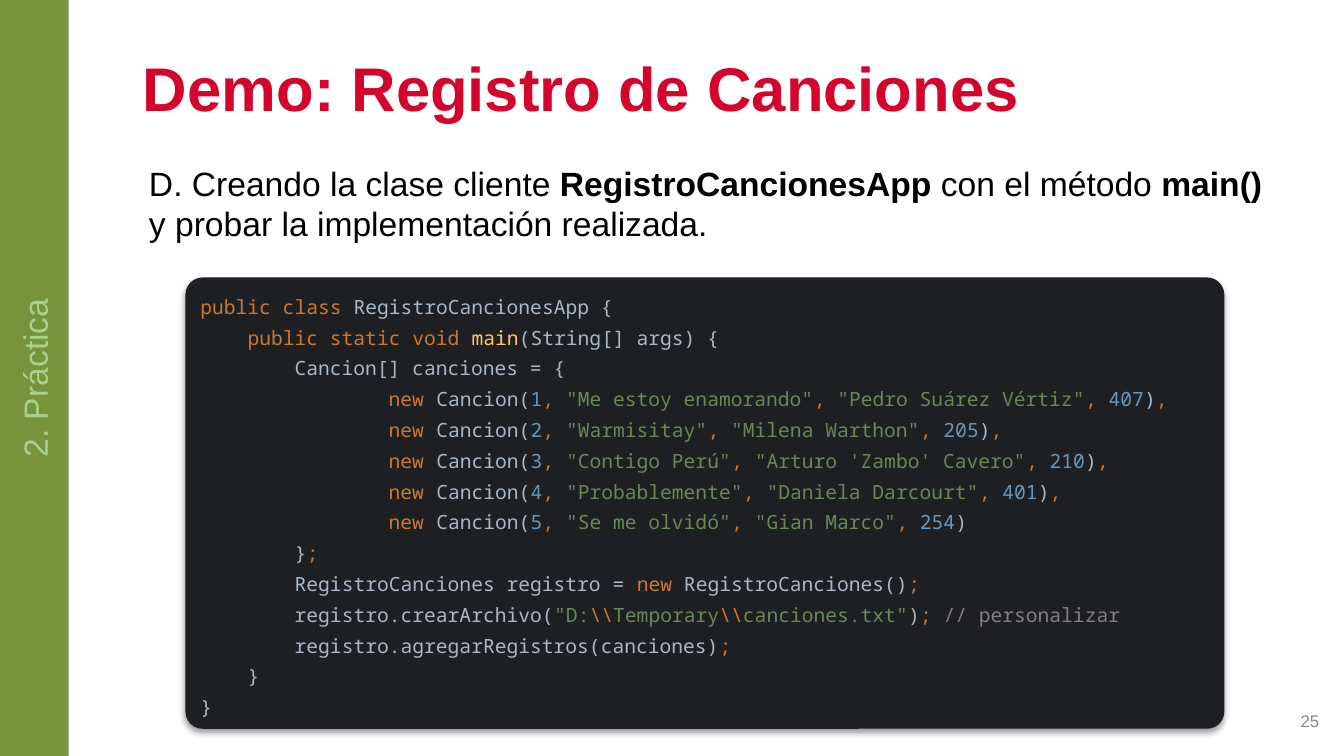
from lxml import etree
from pptx import Presentation, util as u
from pptx.dml.color import RGBColor
from pptx.enum import shapes, text
from pptx.oxml.ns import qn

theme = {
    "sans": "Arial", "mono": "Noto Sans Mono",
    "head": 44, "body": 24, "code": 14, "foot": 12,
    "red": "D3052C", "ink": "000000", "gray": "888888",
    "green": "77933C", "pale": "A9D18E", "dark": "1E1F22",
    "key": "CC7832", "base": "A9B7C6", "call": "FFC66D",
    "num": "6897BB", "str": "6A8759", "note": "808080",
}

deck = Presentation()
deck.slide_width, deck.slide_height = u.Inches(13.33), u.Inches(7.5)
W, H = deck.slide_width, deck.slide_height
slide = deck.slides.add_slide(deck.slide_layouts[6])


def place(area, kind=None, fill=None, mid=True):
    x, y, w, h = area
    spot = [int(v) for v in (x * W, y * H, w * W, h * H)]
    if kind is None:
        shape = slide.shapes.add_textbox(*spot)
    else:
        shape = slide.shapes.add_shape(kind, *spot)
        shape.shadow.inherit = False
        shape.fill.solid()
        shape.fill.fore_color.rgb = RGBColor.from_string(theme[fill])
        shape.line.fill.background()
    anchor = text.MSO_ANCHOR.MIDDLE if mid else text.MSO_ANCHOR.TOP
    for name, val in {"word_wrap": True, "vertical_anchor": anchor}.items():
        setattr(shape.text_frame, name, val)
    return shape


def write(shape, runs, size, face="sans", align=text.PP_ALIGN.LEFT, lead=None):
    para = shape.text_frame.paragraphs[0]
    for name, val in {"alignment": align, "line_spacing": lead}.items():
        setattr(para, name, val)
    for color, words, bold in runs:
        for n, part in enumerate(words.split("\n")):
            if n:
                para.add_line_break()
            if part:
                run = para.add_run()
                run.text = part
                look = {"name": theme[face], "size": u.Pt(theme[size]), "bold": bold}
                for name, val in look.items():
                    setattr(run.font, name, val)
                run.font.color.rgb = RGBColor.from_string(theme[color])
    return para


title = place((0.099, 0.063, 0.833, 0.115))
write(title, [("red", "Demo: Registro de Canciones", True)], "head", lead=0.9)

page = place((0.764, 0.927, 0.225, 0.053))
write(page, [("gray", "25", False)], "foot", align=text.PP_ALIGN.RIGHT)

intro = place((0.099, 0.209, 0.86, 0.697), mid=False)
parts = ["D. Creando la clase cliente ", "RegistroCancionesApp", " con el método ",
         "main()", " y probar la implementación realizada."]
para = write(intro, [("ink", part, n % 2 == 1) for n, part in enumerate(parts)], "body")
para._p.get_or_add_pPr().set("marL", str(u.Inches(0.06)))

songs = [
    ("Me estoy enamorando", "Pedro Suárez Vértiz", 407),
    ("Warmisitay", "Milena Warthon", 205),
    ("Contigo Perú", "Arturo 'Zambo' Cavero", 210),
    ("Probablemente", "Daniela Darcourt", 401),
    ("Se me olvidó", "Gian Marco", 254),
]
code = [
    ("key", "public class "), ("base", "RegistroCancionesApp {\n    "),
    ("key", "public static void "), ("call", "main"),
    ("base", "(String[] args) {\n        Cancion[] canciones = {"),
]
for n, (song, singer, time) in enumerate(songs, 1):
    code += [
        ("key", "\n                new "), ("base", "Cancion("),
        ("num", str(n)), ("key", ", "), ("str", f'"{song}"'), ("key", ", "),
        ("str", f'"{singer}"'), ("key", ", "), ("num", str(time)), ("base", ")"),
        ("key", "," if n < len(songs) else ""),
    ]
code += [
    ("base", "\n        }"), ("key", ";\n        "),
    ("base", "RegistroCanciones registro = "), ("key", "new "),
    ("base", "RegistroCanciones()"), ("key", ";\n        "),
    ("base", "registro.crearArchivo("), ("str", '"D:'), ("key", r"\\"),
    ("str", "Temporary"), ("key", r"\\"), ("str", 'canciones.txt"'),
    ("base", ")"), ("key", "; "), ("note", "// personalizar\n        "),
    ("base", "registro.agregarRegistros(canciones)"), ("key", ";\n    "),
    ("base", "}\n}"),
]
panel = place((0.138, 0.367, 0.773, 0.597), shapes.MSO_SHAPE.ROUNDED_RECTANGLE, "dark")
panel.adjustments[0] = 0.038
write(panel, [(*token, False) for token in code], "code", "mono", lead=u.Pt(22))
glow = panel._element.spPr.find(qn("a:effectLst"))
cast = etree.SubElement(glow, qn("a:outerShdw"), blurRad=str(u.Pt(4)),
                        dist=str(u.Pt(3)), dir="5400000", algn="t", rotWithShape="0")
tint = etree.SubElement(cast, qn("a:srgbClr"), val=theme["ink"])
etree.SubElement(tint, qn("a:alpha"), val="40000")

side = place((0, 0, 0.051, 1), shapes.MSO_SHAPE.RECTANGLE, "green")
write(side, [("pale", "2. Práctica", False)], "body", align=text.PP_ALIGN.CENTER)
side.text_frame._txBody.bodyPr.set("vert", "vert270")

deck.save("out.pptx")
